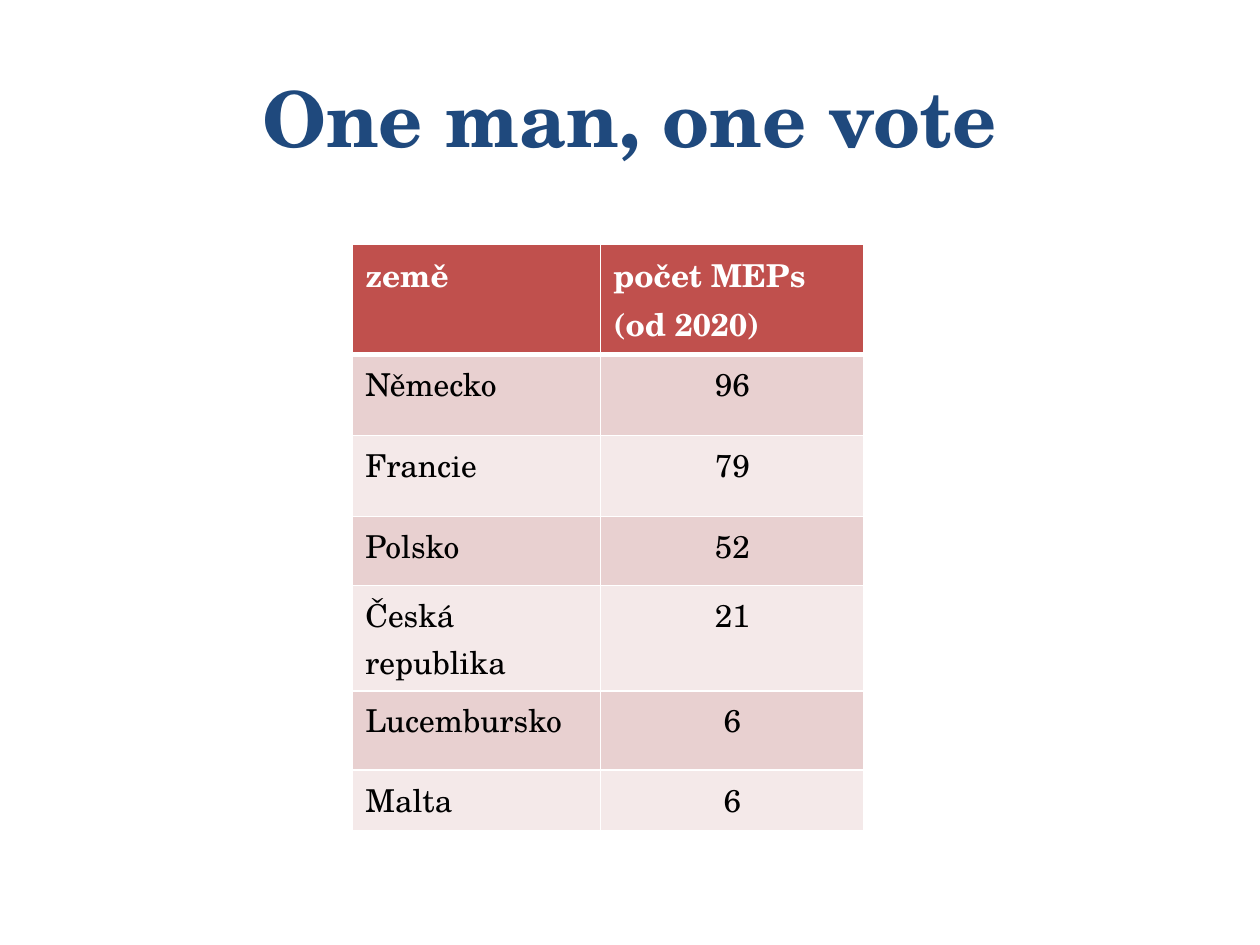
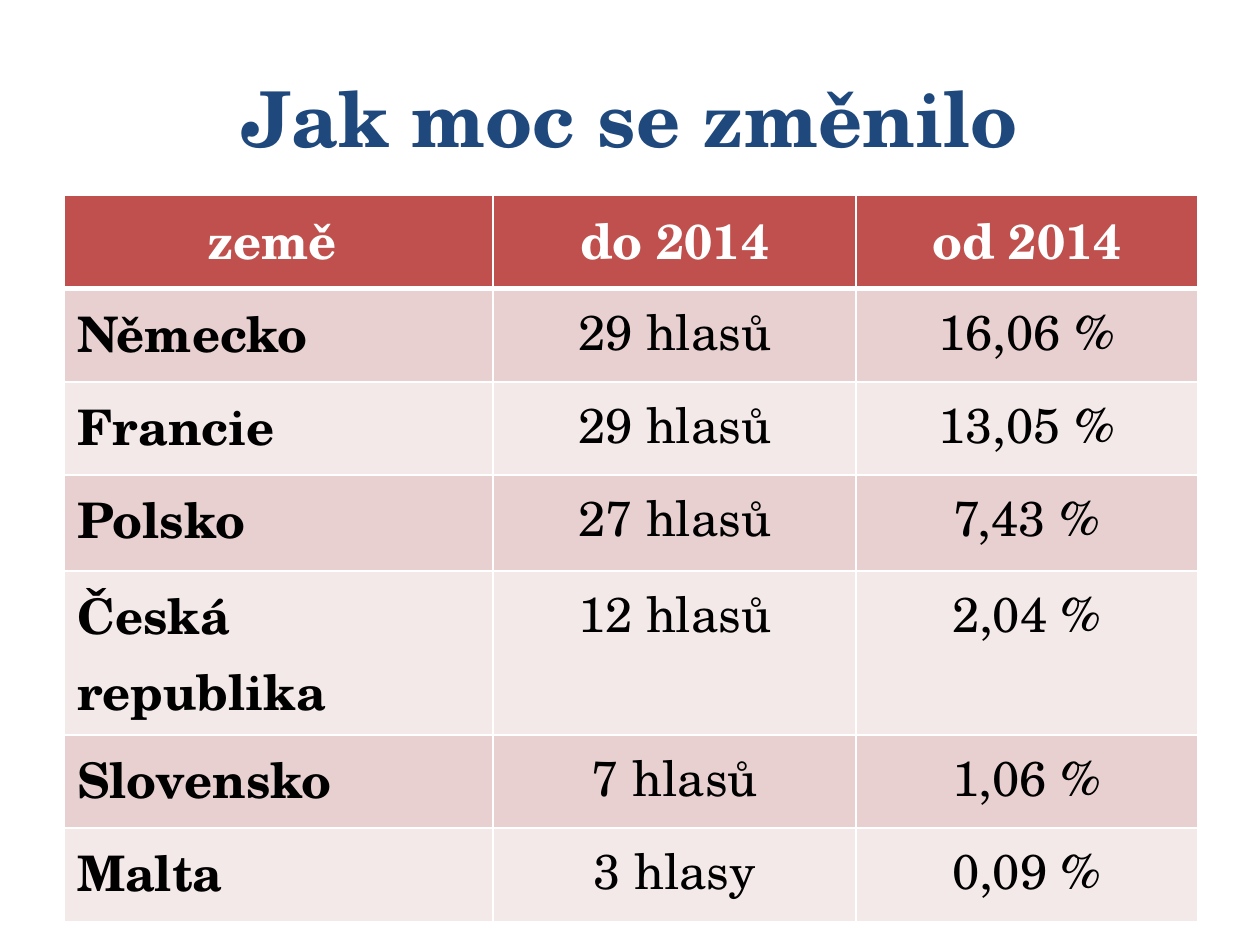
"""Builds two slides with tables on votes in the EU institutions."""
from dataclasses import dataclass

from lxml.etree import SubElement
from pptx import Presentation
from pptx.dml.color import RGBColor as RGB
from pptx.enum.text import MSO_ANCHOR as ANCHOR, PP_ALIGN as ALIGN
from pptx.oxml.ns import qn
from pptx.util import Cm, Pt

SLIDES = [
    {
        "title": "One man, one vote",
        "at": (7.11, 4.93),
        "cols": (5.0, 5.31),
        "heights": (2.18, 1.63, 1.63, 1.4, 2.11, 1.6, 1.22),
        "size": 18,
        "header_align": ALIGN.LEFT,
        "bold_countries": False,
        "rows": [
            ("země", "počet MEPs\n(od 2020)"),
            ("Německo", "96"),
            ("Francie", "79"),
            ("Polsko", "52"),
            ("Česká republika", "21"),
            ("Lucembursko", "6"),
            ("Malta", "6"),
        ],
    },
    {
        "title": "Jak moc se změnilo",
        "at": (1.3, 3.94),
        "cols": (8.64, 7.32, 6.88),
        "heights": (1.88, 1.88, 1.88, 1.93, 3.3, 1.88, 1.88),
        "size": 28,
        "header_align": ALIGN.CENTER,
        "bold_countries": True,
        "rows": [
            ("země ", "do 2014", "od 2014"),
            ("Německo", "29 hlasů", "16,06 %"),
            ("Francie", "29 hlasů", "13,05 %"),
            ("Polsko", "27 hlasů", "7,43 %"),
            ("Česká republika", "12 hlasů", "2,04 %"),
            ("Slovensko", "7 hlasů", "1,06 %"),
            ("Malta", "3 hlasy", "0,09 %"),
        ],
    },
]


@dataclass(frozen=True)
class Theme:
    font: str = "TeX Gyre Schola"
    title_size: int = 44
    title: str = "1F497D"
    header: str = "C0504D"
    bands: tuple = ("F4E9E9", "E8D0D0")
    text: str = "000000"
    white: str = "FFFFFF"
    thin: int = 1
    thick: int = 3


THEME = Theme()


def format_text(tf, size, color, bold, align):
    for p in tf.paragraphs:
        p.alignment = align
        for r in p.runs:
            r.font.name = THEME.font
            r.font.size = Pt(size)
            r.font.bold = bold
            r.font.color.rgb = RGB.from_string(color)


def add_borders(cell, top, bottom):
    widths = {"L": THEME.thin, "R": THEME.thin, "T": top, "B": bottom}
    tc_pr = cell._tc.get_or_add_tcPr()
    for side, width in widths.items():
        line = SubElement(tc_pr, qn(f"a:ln{side}"), w=str(Pt(width)))
        fill = SubElement(line, qn("a:solidFill"))
        SubElement(fill, qn("a:srgbClr"), val=THEME.white)


def add_title(slide, text):
    sp = slide.shapes.title
    sp.left, sp.top, sp.width, sp.height = Cm(1.27), Cm(0.76), Cm(22.86), Cm(3.18)
    tf = sp.text_frame
    tf.text = text
    tf.vertical_anchor = ANCHOR.MIDDLE
    format_text(tf, THEME.title_size, THEME.title, True, ALIGN.CENTER)


def fill_cell(cell, text, row, col, spec):
    is_header = row == 0
    add_borders(cell,
                THEME.thick if row == 1 else THEME.thin,
                THEME.thick if is_header else THEME.thin)
    cell.fill.solid()
    color = THEME.header if is_header else THEME.bands[row % 2]
    cell.fill.fore_color.rgb = RGB.from_string(color)
    cell.text_frame.text = text
    if is_header:
        align = spec["header_align"]
    else:
        align = ALIGN.CENTER if col else ALIGN.LEFT
    bold = is_header or (col == 0 and spec["bold_countries"])
    format_text(cell.text_frame, spec["size"],
                THEME.white if is_header else THEME.text, bold, align)


def add_votes_table(slide, spec):
    rows, cols, heights = spec["rows"], spec["cols"], spec["heights"]
    left, top = spec["at"]
    table = slide.shapes.add_table(len(rows), len(cols), Cm(left), Cm(top),
                                   Cm(sum(cols)), Cm(sum(heights))).table
    for column, width in zip(table.columns, cols):
        column.width = Cm(width)
    for i, (values, height) in enumerate(zip(rows, heights)):
        table.rows[i].height = Cm(height)
        for j, text in enumerate(values):
            fill_cell(table.cell(i, j), text, i, j, spec)


def main():
    prs = Presentation()
    prs.slide_width, prs.slide_height = Cm(25.4), Cm(19.05)
    for spec in SLIDES:
        slide = prs.slides.add_slide(prs.slide_layouts[5])
        add_title(slide, spec["title"])
        add_votes_table(slide, spec)
    prs.save("out.pptx")


if __name__ == "__main__":
    main()
